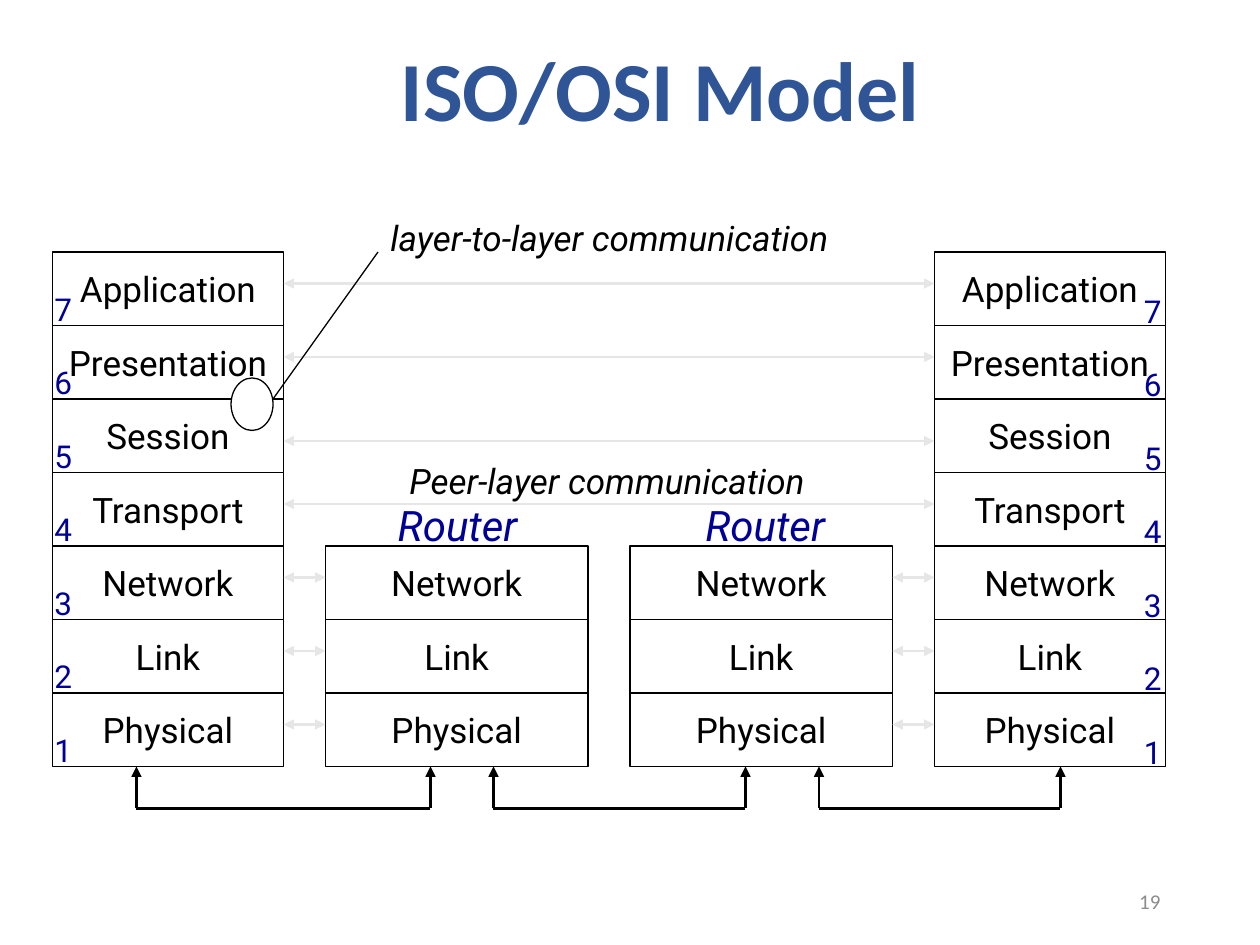
from lxml.etree import SubElement
from pptx import Presentation
from pptx.dml.color import RGBColor
from pptx.enum.shapes import MSO_CONNECTOR, MSO_SHAPE
from pptx.enum.text import MSO_ANCHOR, MSO_AUTO_SIZE, PP_ALIGN
from pptx.oxml.ns import qn
from pptx.util import Inches, Pt

COLORS = {
    "title": "2F5597", "ink": "000000", "paper": "FFFFFF",
    "peer": "E7E6E6", "accent": "000099", "footer": "8C8C8C",
}
LAYERS = ["Application", "Presentation", "Session", "Transport",
          "Network", "Link", "Physical"]

# The slide is a grid of 120 columns by 90 rows, twelve to the inch
COLUMNS, ROWS = 120, 90
CELL = Inches(10) / COLUMNS
STACK_TOP, LAYER_ROWS = 24, 7
STACK_BOTTOM = STACK_TOP + LAYER_ROWS * len(LAYERS)
ROUTER_LAYERS = 3
ROUTER_TOP = STACK_BOTTOM - ROUTER_LAYERS * LAYER_ROWS

# Left column and width of each stack
LEFT_HOST, RIGHT_HOST = (5, 22), (89, 22)
LEFT_ROUTER, RIGHT_ROUTER = (31, 25), (60, 25)


def grid(*cells):
    return [round(cell * CELL) for cell in cells]


def color(name):
    return RGBColor.from_string(COLORS[name])


def write(box, text, size, ink="ink", align=PP_ALIGN.LEFT, font="Roboto", **style):
    frame = box.text_frame
    para = frame.paragraphs[0]
    para.alignment = align
    span = para.add_run()
    span.text = text
    formats = {"size": Pt(size), "name": font, **style}
    for name, value in formats.items():
        setattr(span.font, name, value)
    span.font.color.rgb = color(ink)
    return frame


def add_label(page, area, text, size, ink="ink", **style):
    box = page.shapes.add_textbox(*grid(*area))
    frame = write(box, text, size, ink, **style)
    frame.word_wrap = False
    frame.auto_size = MSO_AUTO_SIZE.SHAPE_TO_FIT_TEXT


def add_outline(page, kind, area):
    shape = page.shapes.add_shape(kind, *grid(*area))
    shape.shadow.inherit = False
    shape.fill.solid()
    shape.fill.fore_color.rgb = color("paper")
    shape.line.color.rgb = color("ink")
    shape.line.width = Pt(0.75)
    return shape


def add_line(page, start, end, ink="ink", width=1.5, arrows=()):
    line = page.shapes.add_connector(MSO_CONNECTOR.STRAIGHT, *grid(*start, *end))
    line.line.color.rgb = color(ink)
    line.line.width = Pt(width)
    stroke = line.line._get_or_add_ln()
    for arrow in arrows:
        SubElement(stroke, qn(f"a:{arrow}"), type="triangle")
    SubElement(line._element.spPr, qn("a:effectLst"))


def add_title(page, area):
    title = page.shapes.title
    title.left, title.top, title.width, title.height = grid(*area)
    frame = write(title, "ISO/OSI Model", 48, "title", PP_ALIGN.CENTER,
                  "Calibri", bold=True)
    frame.auto_size = MSO_AUTO_SIZE.NONE
    frame.vertical_anchor = MSO_ANCHOR.MIDDLE
    frame.paragraphs[0].line_spacing = 0.9


def add_stack(page, left, top, width, layers):
    for index, layer in enumerate(layers):
        area = (left, top + index * LAYER_ROWS, width, LAYER_ROWS)
        box = add_outline(page, MSO_SHAPE.RECTANGLE, area)
        frame = write(box, layer, 20, align=PP_ALIGN.CENTER)
        frame.word_wrap = False
        frame.vertical_anchor = MSO_ANCHOR.MIDDLE


def add_numbers(page, left, top):
    for index in range(len(LAYERS)):
        number = len(LAYERS) - index
        width = 3.7 if number == 1 else 4.2
        add_label(page, (left, top + index * LAYER_ROWS, width, 4.8),
                  str(number), 18, "accent")


def add_peer_links(page):
    left_edge, right_edge = sum(LEFT_HOST), RIGHT_HOST[0]
    for index, layer in enumerate(LAYERS):
        row = STACK_TOP + index * LAYER_ROWS + (4 if layer == "Session" else 3)
        if row < ROUTER_TOP:
            spans = [(left_edge, right_edge)]
        else:
            spans = [(left_edge, LEFT_ROUTER[0]), (sum(RIGHT_ROUTER), right_edge)]
        for start, end in spans:
            add_line(page, (start, row), (end, row), "peer",
                     arrows=("headEnd", "tailEnd"))


def add_cable(page, left, right, top, height):
    bottom = top + height
    add_line(page, (left, bottom), (right, bottom))
    for column in (left, right):
        add_line(page, (column, bottom), (column, top), arrows=("tailEnd",))


def add_callout(page, left, top):
    add_outline(page, MSO_SHAPE.OVAL, (left, top, 4, 5))
    add_line(page, (left + 4, top + 2), (left + 14, top - 12), width=0.75)
    add_label(page, (left + 14, top - 16, 47.5, 5.2),
              "layer-to-layer communication", 20, italic=True)


def add_page_number(page, area):
    box = page.shapes.add_textbox(*grid(*area))
    frame = write(box, "19", 12, "footer", PP_ALIGN.RIGHT, "Calibri")
    frame.word_wrap = True
    frame.vertical_anchor = MSO_ANCHOR.MIDDLE


def main():
    deck = Presentation()
    deck.slide_width, deck.slide_height = grid(COLUMNS, ROWS)
    page = deck.slides.add_slide(deck.slide_layouts[5])
    add_title(page, (11.8, 1.5, 102.2, 15))

    # Hosts carry all layers, routers only the lowest ones
    for left, width in (LEFT_HOST, RIGHT_HOST):
        add_stack(page, left, STACK_TOP, width, LAYERS)
    for left, width in (LEFT_ROUTER, RIGHT_ROUTER):
        add_stack(page, left, ROUTER_TOP, width, LAYERS[-ROUTER_LAYERS:])

    # Links between peers, then the cables below the stacks
    add_peer_links(page)
    for left, right in ((13, 41), (47, 71), (78, 101)):
        add_cable(page, left, right, STACK_BOTTOM, 4)

    # Labels and layer numbers
    add_label(page, (37.8, 43.2, 42.1, 5.2), "Peer-layer communication", 20,
              italic=True)
    add_callout(page, 22, 36)
    for left in (36.7, 66):
        add_label(page, (left, 47, 15.1, 6), "Router", 24, "accent", italic=True)
    add_numbers(page, 4, STACK_TOP + 3)
    add_numbers(page, 107.75, STACK_TOP + 3.2)
    add_page_number(page, (84.7, 83.4, 27, 4.8))

    deck.save("out.pptx")


if __name__ == "__main__":
    main()
